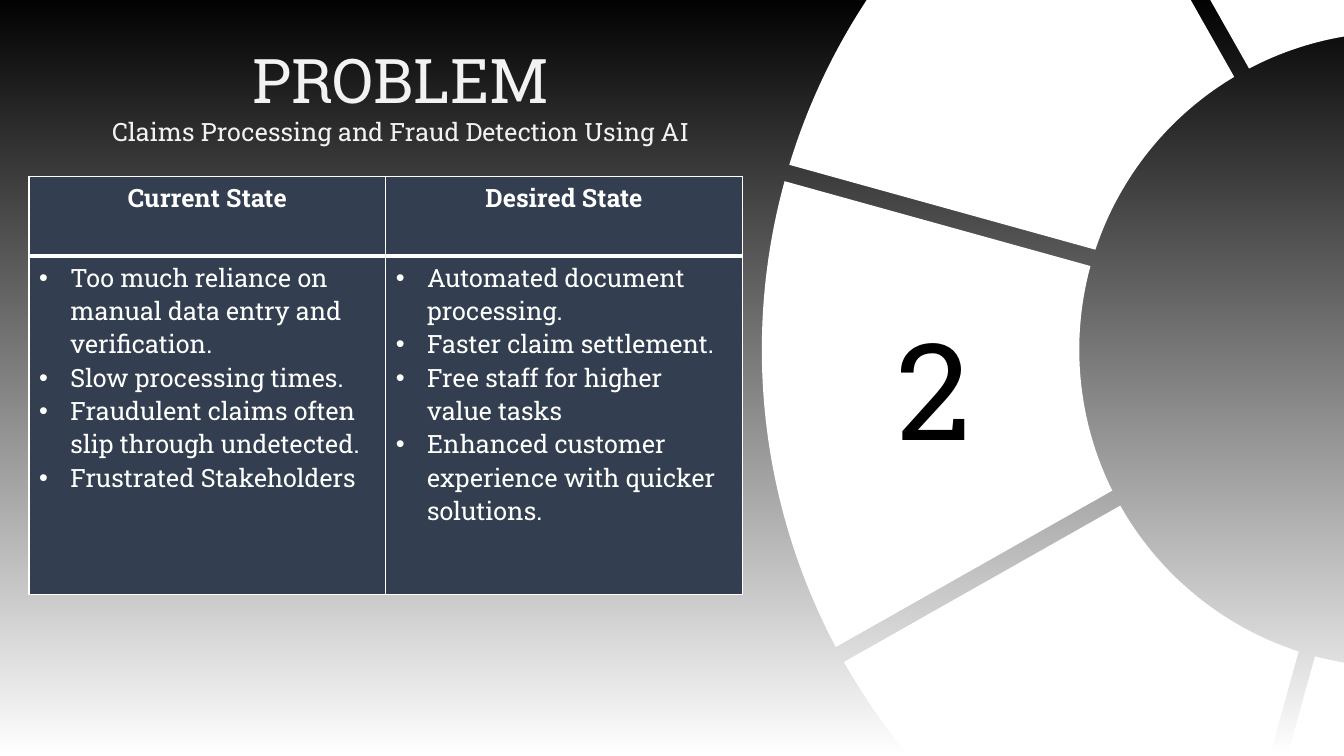
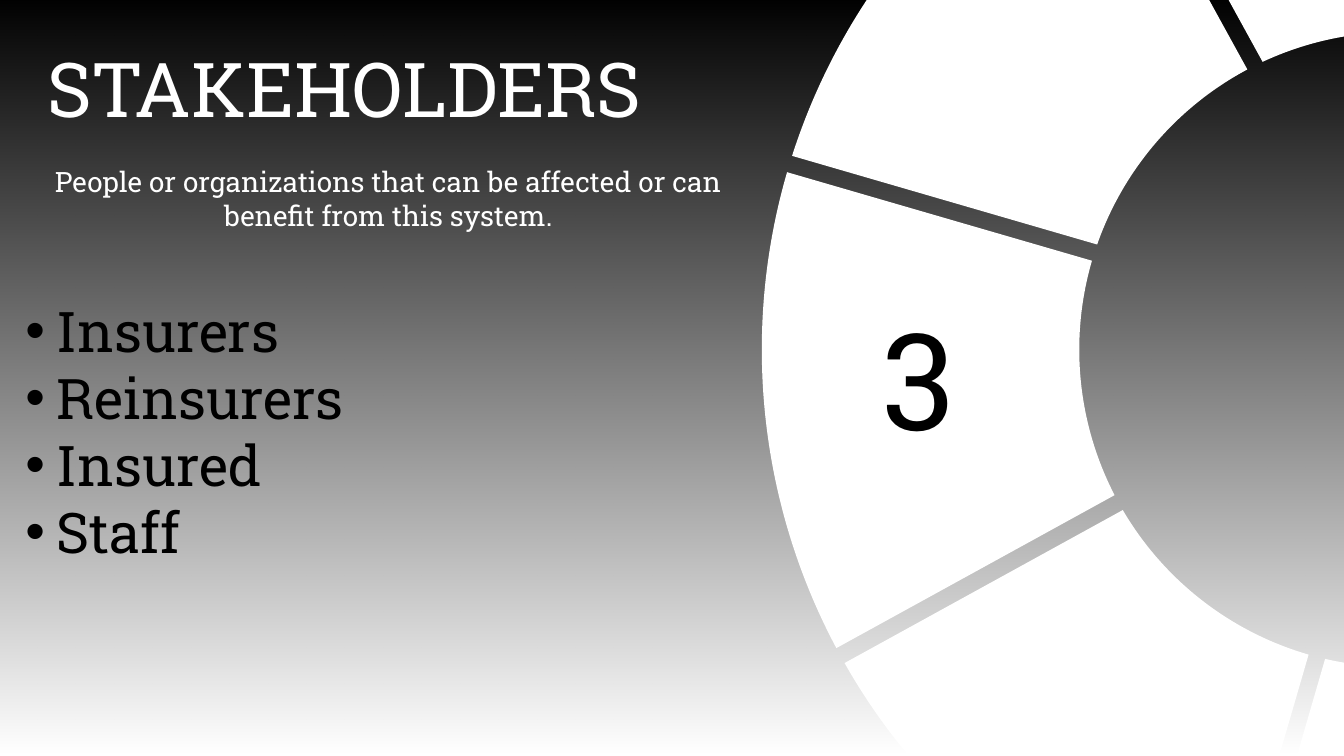
import math
from dataclasses import dataclass

import pptx
import pptx.dml.color
import pptx.enum.shapes
import pptx.enum.text
import pptx.oxml.ns
import pptx.util
from lxml import etree

Cm = pptx.util.Cm
Pt = pptx.util.Pt
RGB = pptx.dml.color.RGBColor.from_string
Align = pptx.enum.text.PP_ALIGN
qn = pptx.oxml.ns.qn


@dataclass(frozen=True)
class Theme:
    font: str = "Roboto Slab"
    black: str = "000000"
    white: str = "FFFFFF"
    heading: str = "F2F2F2"
    cell: str = "333F50"
    body: int = 18
    subtitle: int = 20
    bullet: int = 40
    problem: int = 44
    stakeholders: int = 54
    number: int = 96
    thin: float = 1
    thick: float = 3


THEME = Theme()
WIDTH, HEIGHT = Cm(33.87), Cm(19.05)
BULLET_INDENT = Cm(0.79)

WHEEL = {"x": Cm(35.2), "y": Cm(8.81), "outer": Cm(16), "inner": Cm(8), "gap": Cm(0.43)}
SEGMENTS = 8

STATES = [
    ("Current State", [
        "Too much reliance on manual data entry and verification.",
        "Slow processing times.",
        "Fraudulent claims often slip through undetected.",
        "Frustrated Stakeholders",
    ]),
    ("Desired State", [
        "Automated document processing.",
        "Faster claim settlement.",
        "Free staff for higher value tasks",
        "Enhanced customer experience with quicker solutions.",
    ]),
]

SLIDES = [
    {
        "wheel": {"turn": 15.5, "hub_shift": (-0.08, -0.21)},
        "texts": [
            {"box": (0, 0.94, 20.2, 2.9), "color": THEME.heading, "align": Align.CENTER,
             "lines": [("PROBLEM", THEME.problem),
                       ("Claims Processing and Fraud Detection Using AI", THEME.body)]},
            {"box": (21.86, 7.6, 3.35, 4.37), "color": THEME.black, "align": Align.CENTER,
             "lines": [("2", THEME.number)]},
        ],
        "table": {"box": (0.73, 4.44, 17.98, 10.54), "header": 2.01, "columns": STATES},
    },
    {
        "wheel": {"turn": 16.2, "hub_shift": (0.28, -0.15)},
        "texts": [
            {"box": (0.94, 0.94, 18.64, 2.57), "color": THEME.white,
             "lines": [("STAKEHOLDERS", THEME.stakeholders)]},
            {"box": (0, 4.02, 19.58, 1.96), "color": THEME.white, "align": Align.CENTER,
             "lines": [("People or organizations that can be affected or can benefit "
                        "from this system.", THEME.subtitle)]},
            {"box": (22, 7.34, 3.43, 4.37), "color": THEME.black,
             "lines": [("3", THEME.number)]},
            {"box": (0.39, 7.34, 18.34, 7.09), "color": THEME.black, "bullets": True,
             "lines": [(name, THEME.bullet)
                       for name in ("Insurers", "Reinsurers", "Insured", "Staff")]},
        ],
    },
]


def add_bullet(paragraph):
    properties = paragraph._p.get_or_add_pPr()
    properties.set("marL", str(BULLET_INDENT))
    properties.set("indent", str(-BULLET_INDENT))
    font = etree.Element(qn("a:buFont"), typeface="Arial")
    character = etree.Element(qn("a:buChar"), char="•")
    properties.insert(0, character)
    properties.insert(0, font)


def write_lines(frame, lines, color, align=None, bullets=False, bold=False):
    for index, (text, size) in enumerate(lines):
        paragraph = frame.add_paragraph() if index else frame.paragraphs[0]
        paragraph.text = text
        paragraph.alignment = align
        paragraph.font.name = THEME.font
        paragraph.font.size = Pt(size)
        paragraph.font.bold = bold
        paragraph.font.color.rgb = RGB(color)
        if bullets:
            add_bullet(paragraph)


def add_text(slide, box, **content):
    frame = slide.shapes.add_textbox(*map(Cm, box)).text_frame
    frame.word_wrap = True
    frame.auto_size = pptx.enum.text.MSO_AUTO_SIZE.SHAPE_TO_FIT_TEXT
    write_lines(frame, **content)


def add_backdrop(slide):
    shape = slide.shapes.add_shape(
        pptx.enum.shapes.MSO_SHAPE.RECTANGLE, 0, 0, WIDTH, HEIGHT)
    shape.shadow.inherit = False
    shape.line.fill.background()
    shape.fill.gradient()
    shape.fill.gradient_angle = 270
    for position, stop in enumerate(shape.fill.gradient_stops):
        stop.position = position
        stop.color.rgb = RGB(THEME.black)
    last_color = shape.element.findall(".//" + qn("a:srgbClr"))[-1]
    etree.SubElement(last_color, qn("a:alpha"), val="0")


def edge_angle(radius, spoke, hub_shift, side):
    shift_x, shift_y = map(Cm, hub_shift)
    offset = shift_y * math.cos(spoke) - shift_x * math.sin(spoke)
    return spoke + math.asin((offset + side * WHEEL["gap"] / 2) / radius)


def arc_controls(radius, start, end):
    reach = 4 / 3 * math.tan((end - start) / 4)
    points = []
    for angle, tangents in ((start, (0, reach)), (end, (-reach, 0))):
        cosine, sine = math.cos(angle), math.sin(angle)
        points += [(round(WHEEL["x"] + radius * (cosine - tangent * sine)),
                    round(WHEEL["y"] + radius * (sine + tangent * cosine)))
                   for tangent in tangents]
    return points


def curve_arcs(shape):
    lines = shape.element.findall(".//" + qn("a:lnTo"))
    for first in range(0, len(lines), 7):
        for begin in (first, first + 4):
            curve = etree.Element(qn("a:cubicBezTo"))
            lines[begin].addprevious(curve)
            for line in lines[begin:begin + 3]:
                curve.append(line[0])
                line.getparent().remove(line)


def add_wheel(slide, turn, hub_shift):
    span = 2 * math.pi / SEGMENTS
    builder = None
    for index in range(SEGMENTS):
        spoke = math.radians(turn) + index * span
        outer, inner = (
            arc_controls(radius, edge_angle(radius, spoke, hub_shift, 1),
                         edge_angle(radius, spoke + span, hub_shift, -1))
            for radius in (WHEEL["outer"], WHEEL["inner"]))
        outline = outer + inner[::-1]
        if builder is None:
            builder = slide.shapes.build_freeform(*outline[0], scale=1.0)
        else:
            builder.move_to(*outline[0])
        builder.add_line_segments(outline[1:], close=True)
    shape = builder.convert_to_shape()
    curve_arcs(shape)
    shape.shadow.inherit = False
    shape.fill.solid()
    shape.fill.fore_color.rgb = RGB(THEME.white)
    shape.line.fill.background()


def style_cell(cell, borders):
    properties = cell._tc.get_or_add_tcPr()
    for side, width in borders.items():
        line = etree.SubElement(properties, qn("a:ln" + side), w=str(Pt(width)))
        fill = etree.SubElement(line, qn("a:solidFill"))
        etree.SubElement(fill, qn("a:srgbClr"), val=THEME.white)
    cell.fill.solid()
    cell.fill.fore_color.rgb = RGB(THEME.cell)


def add_state_table(slide, box, header, columns):
    table = slide.shapes.add_table(2, len(columns), *map(Cm, box)).table
    table.horz_banding = False
    table.rows[0].height = Cm(header)
    table.rows[1].height = Cm(box[3] - header)
    thin, thick = THEME.thin, THEME.thick
    for index, (title, points) in enumerate(columns):
        head, body = table.cell(0, index), table.cell(1, index)
        style_cell(head, {"L": thin, "R": thin, "T": thin, "B": thick})
        style_cell(body, {"L": thin, "R": thin, "B": thin})
        write_lines(head.text_frame, [(title, THEME.body)], THEME.white,
                    align=Align.CENTER, bold=True)
        write_lines(body.text_frame, [(point, THEME.body) for point in points],
                    THEME.white, bullets=True)


def main():
    presentation = pptx.Presentation()
    presentation.slide_width, presentation.slide_height = WIDTH, HEIGHT
    for content in SLIDES:
        slide = presentation.slides.add_slide(presentation.slide_layouts[6])
        add_backdrop(slide)
        add_wheel(slide, **content["wheel"])
        for text in content["texts"]:
            add_text(slide, **text)
        if "table" in content:
            add_state_table(slide, **content["table"])
    presentation.save("out.pptx")


if __name__ == "__main__":
    main()
